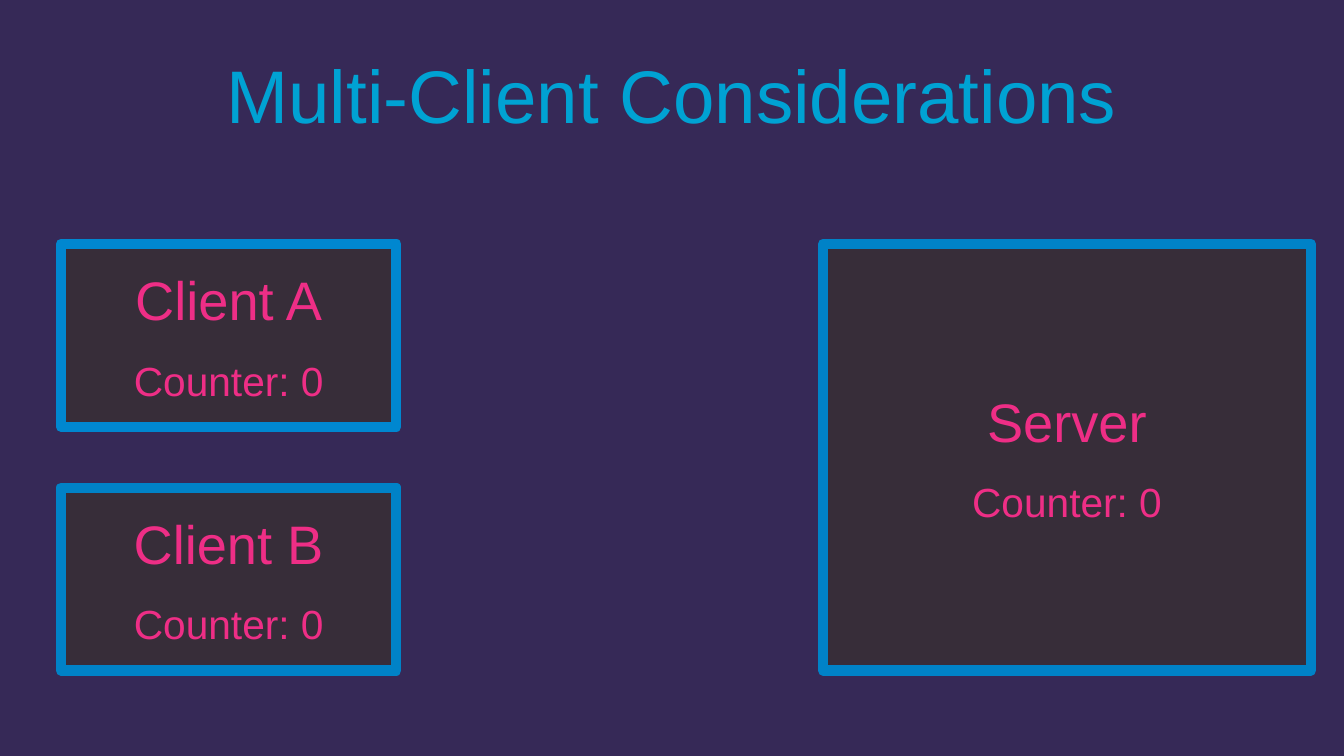
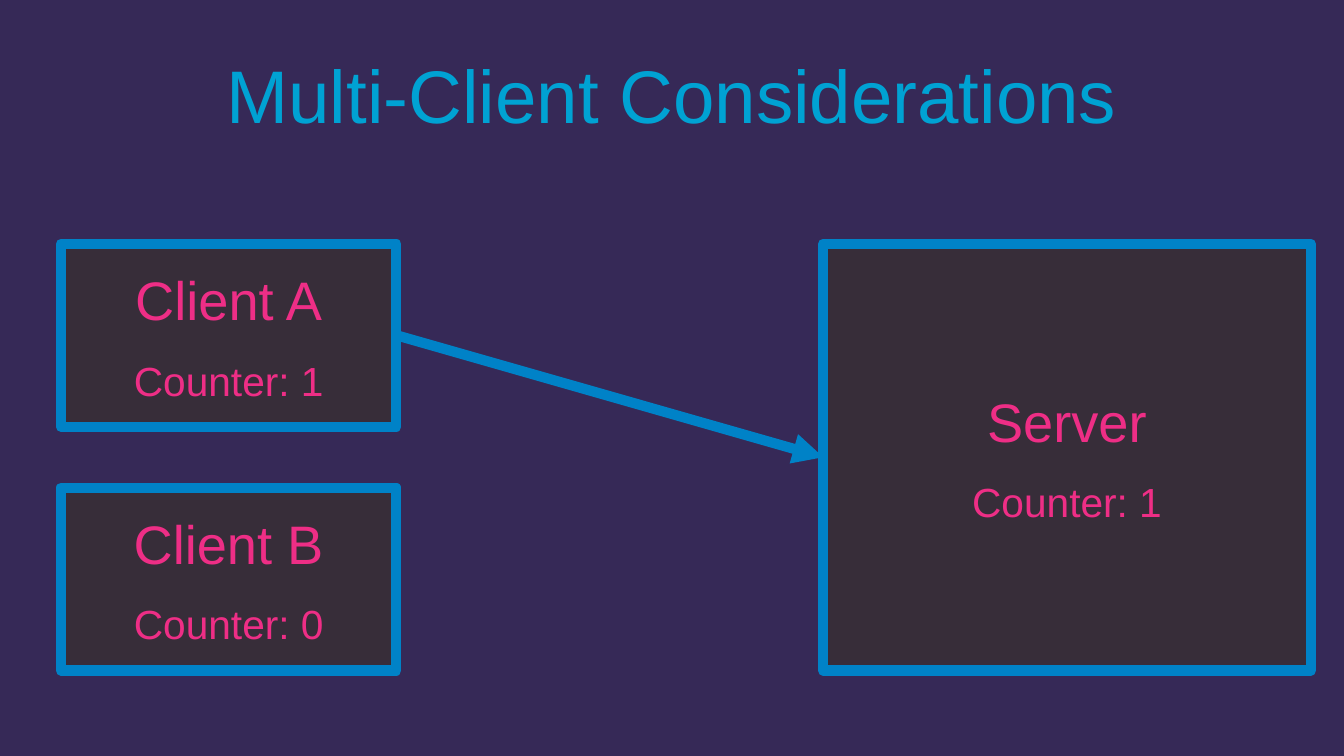
from lxml import etree
from pptx import Presentation
from pptx.dml.color import RGBColor
from pptx.enum.shapes import MSO_CONNECTOR, MSO_SHAPE
from pptx.enum.text import MSO_ANCHOR, MSO_AUTO_SIZE, PP_ALIGN
from pptx.oxml.ns import qn
from pptx.util import Cm, Pt

RECT = MSO_SHAPE.RECTANGLE
STRAIGHT = MSO_CONNECTOR.STRAIGHT
MIDDLE = MSO_ANCHOR.MIDDLE
CENTER = PP_ALIGN.CENTER
NO_FIT = MSO_AUTO_SIZE.NONE

BACKGROUND = RGBColor(0x36, 0x29, 0x57)
TITLE_BLUE = RGBColor(0x00, 0xA2, 0xD3)
NODE_FILL = RGBColor(0x37, 0x2D, 0x39)
NODE_LINE = RGBColor(0x00, 0x82, 0xC7)
BRIGHT_LINE = RGBColor(0x00, 0x87, 0xD0)
PINK = RGBColor(0xEE, 0x2E, 0x86)

FONT = "Arial"
LINE_WIDTH = Pt(6)
TITLE_BOX = (Cm(1.4), Cm(0.64), Cm(25.2), Cm(2.62))
DIAGRAM_BOX = (Cm(1.27), Cm(5.08), Cm(26.04), Cm(8.89))
CLIENT_W, CLIENT_H = Cm(6.99), Cm(3.81)
SERVER_W = Cm(10.16)
LEFT_SIDE, RIGHT_SIDE = 1, 3


def format_frame(tf, margin):
    tf.word_wrap = True
    tf.auto_size = NO_FIT
    tf.vertical_anchor = MIDDLE
    tf.margin_left = tf.margin_right = margin
    tf.margin_top = tf.margin_bottom = margin


def format_paragraph(p, size, color):
    p.alignment = CENTER
    for r in p.runs:
        r.font.name = FONT
        r.font.size = Pt(size)
        r.font.color.rgb = color


def add_title(slide, text, box):
    title = slide.shapes.title
    title.left, title.top, title.width, title.height = box
    tf = title.text_frame
    tf.text = text
    format_frame(tf, 0)
    format_paragraph(tf.paragraphs[0], 44, TITLE_BLUE)


def add_node(slide, name, counter, box, line_color=NODE_LINE):
    sp = slide.shapes.add_shape(RECT, *box)
    sp.shadow.inherit = False
    sp.fill.solid()
    sp.fill.fore_color.rgb = NODE_FILL
    sp.line.color.rgb = line_color
    sp.line.width = LINE_WIDTH
    etree.SubElement(sp.line._get_or_add_ln(), qn("a:round"))
    tf = sp.text_frame
    tf.text = f"{name}\nCounter: {counter}"
    format_frame(tf, Cm(0.05))
    for p, size in zip(tf.paragraphs, (32, 24)):
        p.space_before = Pt(14.2)
        format_paragraph(p, size, PINK)
    return sp


def add_arrow(slide, source, target):
    arrow = slide.shapes.add_connector(STRAIGHT, 0, 0, 0, 0)
    arrow.begin_connect(source, RIGHT_SIDE)
    arrow.end_connect(target, LEFT_SIDE)
    arrow.line.color.rgb = NODE_LINE
    arrow.line.width = LINE_WIDTH
    etree.SubElement(arrow.line._get_or_add_ln(), qn("a:tailEnd"), type="triangle")
    etree.SubElement(arrow._element.spPr, qn("a:effectLst"))


def add_diagram(slide, box, counters, client_a_line, updated):
    left, top, width, height = box
    count_a, count_b, count_server = counters
    client_a = add_node(slide, "Client A", count_a,
                        (left, top, CLIENT_W, CLIENT_H), client_a_line)
    add_node(slide, "Client B", count_b,
             (left, top + height - CLIENT_H, CLIENT_W, CLIENT_H))
    server = add_node(slide, "Server", count_server,
                      (left + width - SERVER_W, top, SERVER_W, height))
    if updated:
        add_arrow(slide, client_a, server)


def add_counter_slide(prs, counters, client_a_line=NODE_LINE, updated=False):
    slide = prs.slides.add_slide(prs.slide_layouts.get_by_name("Title Only"))
    add_title(slide, "Multi-Client Considerations", TITLE_BOX)
    add_diagram(slide, DIAGRAM_BOX, counters, client_a_line, updated)


def main():
    prs = Presentation()
    prs.slide_width, prs.slide_height = Cm(28), Cm(15.75)
    fill = prs.slide_master.background.fill
    fill.solid()
    fill.fore_color.rgb = BACKGROUND
    add_counter_slide(prs, (0, 0, 0), client_a_line=BRIGHT_LINE)
    add_counter_slide(prs, (1, 0, 1), updated=True)
    prs.save("out.pptx")


if __name__ == "__main__":
    main()
